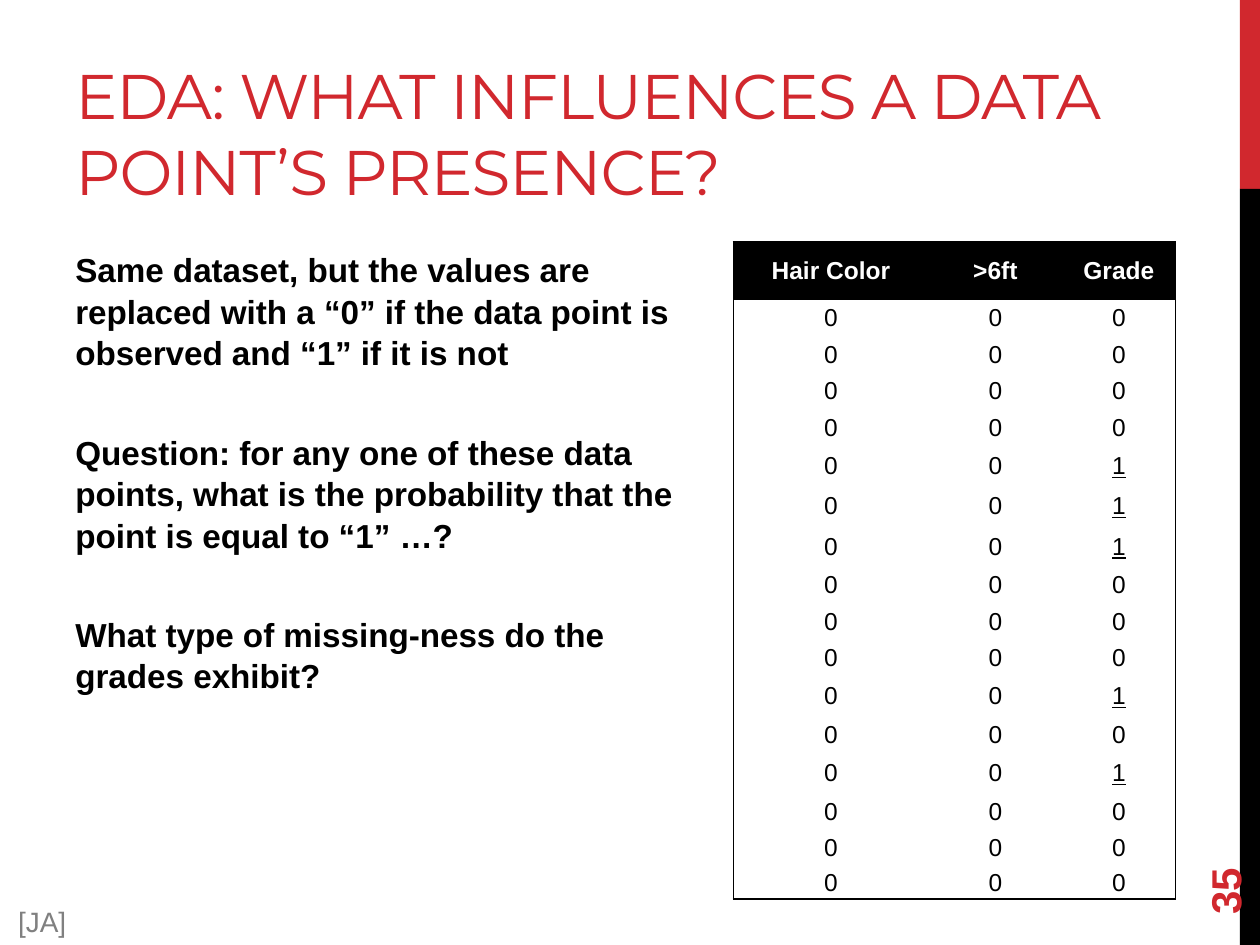
from dataclasses import dataclass

from lxml import etree
from pptx import Presentation
from pptx.dml.color import RGBColor
from pptx.enum.shapes import MSO_SHAPE
from pptx.enum.text import MSO_ANCHOR, PP_ALIGN
from pptx.oxml.ns import qn
from pptx.slide import Slide
from pptx.table import _Cell
from pptx.text.text import _Paragraph
from pptx.util import Inches, Pt

RECTANGLE = MSO_SHAPE.RECTANGLE
TOP, MIDDLE, BOTTOM = MSO_ANCHOR.TOP, MSO_ANCHOR.MIDDLE, MSO_ANCHOR.BOTTOM
LEFT, CENTER = PP_ALIGN.LEFT, PP_ALIGN.CENTER
RED, BLACK, WHITE, GRAY = "D1282E", "000000", "FFFFFF", "808080"

HEADERS = ("Hair Color", ">6ft", "Grade")
MISSING_GRADES = {5, 6, 7, 11, 13}
COLUMN_WIDTHS = (1.55, 1.06, 0.9)
ROW_HEIGHTS = (0.46, *[0.29] * 4, *[0.32] * 3, *[0.29] * 3,
               0.32, 0.29, 0.32, 0.29, 0.29, 0.26)
TABLE_LEFT, TABLE_TOP = 5.82, 1.92


@dataclass
class Style:
    size: float
    color: str
    bold: bool = False
    font: str = "Arial"
    underline: bool = False


@dataclass
class Bar:
    top: float
    height: float
    color: str


@dataclass
class TextBlock:
    place: tuple[float, float, float, float]
    lines: tuple[str, ...]
    style: Style
    anchor: MSO_ANCHOR = TOP
    align: PP_ALIGN = LEFT
    rotation: float = 0
    gap_before: float = 0
    gap_after: float = 0
    line_spacing: float = 1.0
    bottom_inset: float = 0.05
    tracking: int = 0


BARS = (Bar(0, 1.5, RED), Bar(1.5, 6, BLACK))
TEXT_BLOCKS = (
    TextBlock((0.5, 0.17, 8.41, 1.5),
              ("EDA: WHAT INFLUENCES A DATA POINT’S PRESENCE?",),
              Style(36, RED, font="Montserrat"), BOTTOM,
              bottom_inset=0.02, tracking=-60),
    TextBlock((0.5, 1.92, 4.96, 4.78),
              ("Same dataset, but the values are replaced with a “0” if the "
               "data point is observed and “1” if it is not",
               "Question: for any one of these data points, what is the "
               "probability that the point is equal to “1” …?",
               "What type of missing-ness do the grades exhibit?"),
              Style(19, BLACK, True), gap_before=27, gap_after=6,
              line_spacing=1.04),
    TextBlock((9, 6.44, 1.44, 0.4), ("35",), Style(24, RED, True), MIDDLE,
              rotation=270),
    TextBlock((0, 7.13, 0.67, 0.37), ("[JA]",), Style(16, GRAY), align=CENTER),
)


def rgb(color: str) -> RGBColor:
    """Turn a hex string into a colour."""
    return RGBColor.from_string(color)


def set_font(paragraph: _Paragraph, style: Style) -> None:
    """Apply a text style to a whole paragraph."""
    font = paragraph.font
    font.name = style.font
    font.size = Pt(style.size)
    font.bold = style.bold
    font.underline = style.underline
    font.color.rgb = rgb(style.color)


def draw_bar(page: Slide, bar: Bar) -> None:
    """Draw one part of the band along the right edge."""
    box = page.shapes.add_shape(RECTANGLE, Inches(9.84), Inches(bar.top),
                                Inches(0.16), Inches(bar.height))
    box.shadow.inherit = False
    box.fill.solid()
    box.fill.fore_color.rgb = rgb(bar.color)
    box.line.fill.background()


def draw_text(page: Slide, block: TextBlock) -> None:
    """Draw a text box with one paragraph for each line."""
    box = page.shapes.add_textbox(*map(Inches, block.place))
    box.rotation = block.rotation
    frame = box.text_frame
    frame.word_wrap = True
    frame.vertical_anchor = block.anchor
    frame.margin_bottom = Inches(block.bottom_inset)
    for index, line in enumerate(block.lines):
        para = frame.add_paragraph() if index else frame.paragraphs[0]
        span = para.add_run()
        span.text = line
        if block.tracking:
            span.font._element.set("spc", str(block.tracking))
        para.alignment = block.align
        para.line_spacing = block.line_spacing
        para.space_before = Pt(block.gap_before if index else 0)
        para.space_after = Pt(block.gap_after)
        set_font(para, block.style)


def set_borders(cell: _Cell, edges: dict[str, bool]) -> None:
    """Give a cell a black line on each outer edge and none inside."""
    properties = cell._tc.get_or_add_tcPr()
    for tag, visible in edges.items():
        line = etree.SubElement(properties, qn(f"a:{tag}"), w=str(Pt(1)))
        if visible:
            fill = etree.SubElement(line, qn("a:solidFill"))
            etree.SubElement(fill, qn("a:srgbClr"), val=BLACK)
        else:
            etree.SubElement(line, qn("a:noFill"))


def fill_cell(cell: _Cell, text: str, style: Style) -> None:
    """Write centred text in a cell without margins."""
    cell.margin_left = cell.margin_right = 0
    cell.margin_top = cell.margin_bottom = 0
    cell.vertical_anchor = MIDDLE
    cell.text = text
    para = cell.text_frame.paragraphs[0]
    para.alignment = CENTER
    set_font(para, style)


def draw_table(page: Slide) -> None:
    """Draw the table that marks missing values with a one."""
    row_count, column_count = len(ROW_HEIGHTS), len(COLUMN_WIDTHS)
    table = page.shapes.add_table(
        row_count, column_count, Inches(TABLE_LEFT), Inches(TABLE_TOP),
        Inches(sum(COLUMN_WIDTHS)), Inches(sum(ROW_HEIGHTS))).table
    table.first_row = table.horz_banding = False
    for column, width in zip(table.columns, COLUMN_WIDTHS):
        column.width = Inches(width)
    for row_index, height in enumerate(ROW_HEIGHTS):
        table.rows[row_index].height = Inches(height)
        for column_index, header in enumerate(HEADERS):
            cell = table.cell(row_index, column_index)
            last_column = column_index == column_count - 1
            set_borders(cell, {"lnL": column_index == 0, "lnR": last_column,
                               "lnT": row_index == 0,
                               "lnB": row_index == row_count - 1})
            if row_index == 0:
                cell.fill.solid()
                cell.fill.fore_color.rgb = rgb(BLACK)
                fill_cell(cell, header, Style(14, WHITE, True))
            else:
                cell.fill.background()
                missing = last_column and row_index in MISSING_GRADES
                fill_cell(cell, "1" if missing else "0",
                          Style(14, BLACK, underline=missing))


def main() -> None:
    """Build the slide and save it."""
    deck = Presentation()
    deck.slide_width, deck.slide_height = Inches(10), Inches(7.5)
    page = deck.slides.add_slide(deck.slide_layouts[6])
    for bar in BARS:
        draw_bar(page, bar)
    for block in TEXT_BLOCKS:
        draw_text(page, block)
    draw_table(page)
    deck.save("out.pptx")


if __name__ == "__main__":
    main()
